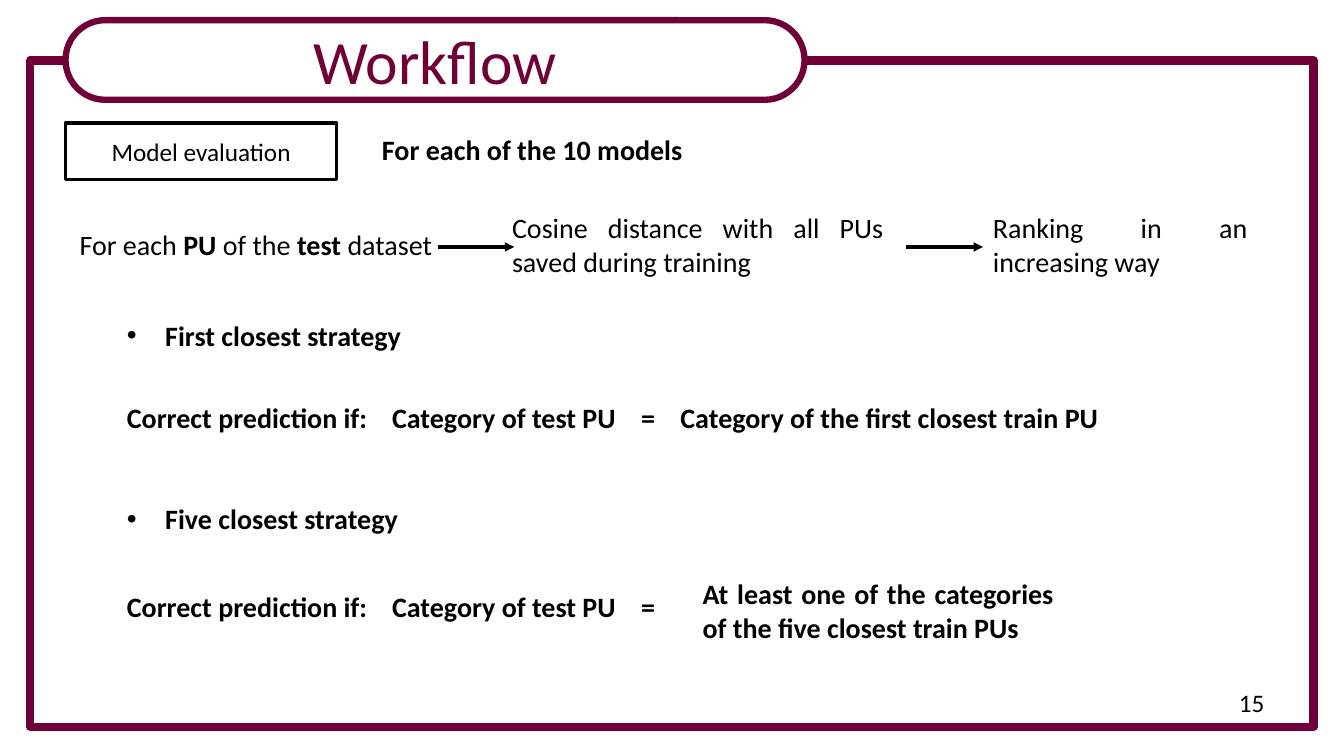
from lxml.etree import SubElement
from pptx import Presentation
from pptx.dml.color import RGBColor
from pptx.enum.shapes import MSO_CONNECTOR, MSO_SHAPE
from pptx.enum.text import MSO_ANCHOR, PP_ALIGN
from pptx.oxml.ns import qn
from pptx.util import Inches, Pt

PLUM = RGBColor(0x70, 0x00, 0x38)
BLACK = RGBColor(0, 0, 0)
WHITE = RGBColor(255, 255, 255)
FONT = "Calibri"

TITLE = "Workflow"
STAGE = "Model evaluation"
PAGE = "15"
SCOPE = [("For each of the 10 models", True)]
STEPS = [
    (0.69, 2.21, 3.88, 0.44, [("For each ", False), ("PU", True), (" of the ", False),
                              ("test ", True), ("dataset", False)]),
    (4.98, 2.04, 3.88, 0.77, [("Cosine distance with all PUs saved during training", False)]),
    (9.75, 2.04, 2.72, 0.77, [("Ranking in an increasing way", False)]),
]
ARROWS = [4.34, 8.99]
ARROW_Y, ARROW_W = 2.45, 0.76
RULE = "Correct prediction if:\tCategory of test PU\t="
PLANS = [
    (3.11, "First closest strategy", 3.92, RULE + "\tCategory of the first closest train PU"),
    (4.93, "Five closest strategy", 5.8, RULE),
]
TABS = [2.63, 5.1, 5.49]
GOAL = [("At least one of the categories of the five closest train PUs", True)]
PLAN_X, PLAN_W, LINE_H = 1.16, 10.68, 0.44

deck = Presentation()
deck.slide_width, deck.slide_height = Inches(13.33), Inches(7.5)
slide = deck.slides.add_slide(deck.slide_layouts[6])


def write(para, runs, size, color=BLACK):
    for text, bold in runs:
        run = para.add_run()
        run.text = text
        run.font.name = FONT
        run.font.size = Pt(size)
        run.font.bold = bold
        run.font.color.rgb = color


def add_box(kind, x, y, w, h, color, width, fill=None, text=None, size=18):
    box = slide.shapes.add_shape(kind, Inches(x), Inches(y), Inches(w), Inches(h))
    box.shadow.inherit = False
    if fill is None:
        box.fill.background()
    else:
        box.fill.solid()
        box.fill.fore_color.rgb = fill
    box.line.color.rgb = color
    box.line.width = Pt(width)
    if text:
        frame = box.text_frame
        frame.vertical_anchor = MSO_ANCHOR.MIDDLE
        para = frame.paragraphs[0]
        para.alignment = PP_ALIGN.CENTER
        write(para, [(text, False)], size, color)
    return box


def add_text(x, y, w, h, runs, size=20, align=PP_ALIGN.JUSTIFY):
    box = slide.shapes.add_textbox(Inches(x), Inches(y), Inches(w), Inches(h))
    box.text_frame.word_wrap = True
    para = box.text_frame.paragraphs[0]
    para.alignment = align
    write(para, runs, size)
    return para


def add_bullet(para):
    props = para._p.get_or_add_pPr()
    props.set("marL", str(Inches(0.38)))
    props.set("indent", str(Inches(-0.38)))
    SubElement(props, qn("a:buFont")).set("typeface", "Arial")
    SubElement(props, qn("a:buChar")).set("char", "•")


def add_tabs(para):
    stops = SubElement(para._p.get_or_add_pPr(), qn("a:tabLst"))
    for pos in TABS:
        stop = SubElement(stops, qn("a:tab"))
        stop.set("pos", str(Inches(pos)))
        stop.set("algn", "l")


def add_arrow(x):
    y = Inches(ARROW_Y)
    arrow = slide.shapes.add_connector(
        MSO_CONNECTOR.STRAIGHT, Inches(x), y, Inches(x + ARROW_W), y)
    arrow.line.color.rgb = BLACK
    arrow.line.width = Pt(2.25)
    props = arrow._element.spPr
    SubElement(props.find(qn("a:ln")), qn("a:tailEnd")).set("type", "triangle")
    SubElement(props, qn("a:effectLst"))


add_box(MSO_SHAPE.RECTANGLE, 0.3, 0.6, 12.73, 6.61, PLUM, 6)
badge = add_box(MSO_SHAPE.ROUNDED_RECTANGLE, 0.65, 0.2, 7.33, 0.79, PLUM, 4.5, WHITE, TITLE, 44)
badge.adjustments[0] = 0.5
add_text(12.19, 6.77, 0.74, 0.4, [(PAGE, False)], 18, PP_ALIGN.LEFT)
add_box(MSO_SHAPE.RECTANGLE, 0.65, 1.22, 2.69, 0.56, BLACK, 2.25, WHITE, STAGE)
add_text(3.69, 1.27, 4.22, LINE_H, SCOPE)

for x, y, w, h, runs in STEPS:
    add_text(x, y, w, h, runs)

for head_y, head, rule_y, rule in PLANS:
    add_bullet(add_text(PLAN_X, head_y, PLAN_W, LINE_H, [(head, True)]))
    add_tabs(add_text(PLAN_X, rule_y, PLAN_W, LINE_H, [(rule, True)], align=PP_ALIGN.LEFT))
add_text(6.87, 5.67, 3.68, 0.77, GOAL)

for x in ARROWS:
    add_arrow(x)

deck.save("out.pptx")
